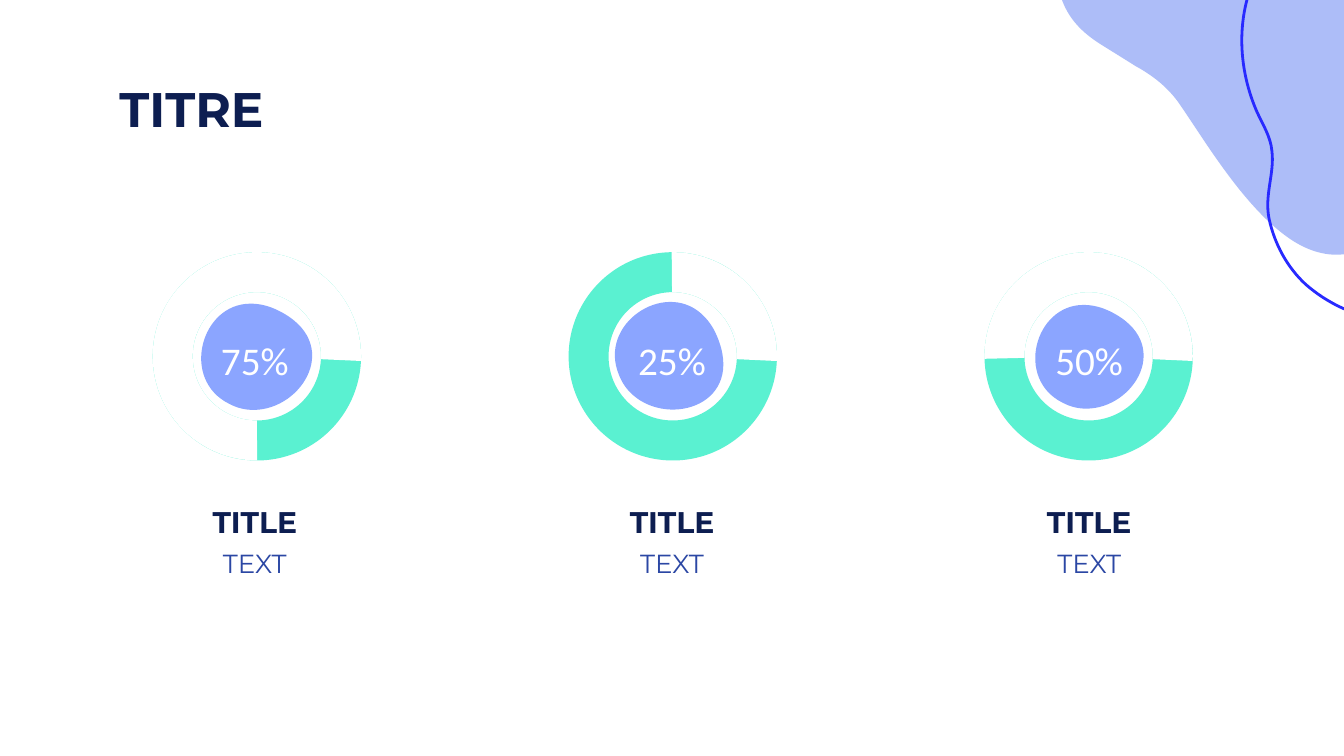
from math import cos, radians, sin

from pptx import Presentation
from pptx.dml.color import RGBColor
from pptx.enum.shapes import MSO_SHAPE as Shape
from pptx.enum.text import MSO_ANCHOR as Anchor, PP_ALIGN as Align
from pptx.oxml.ns import qn
from pptx.util import Pt

NAVY = RGBColor(0x0D, 0x1E, 0x51)
BLUE = RGBColor(0x2B, 0x47, 0xA4)
INK = RGBColor(0x28, 0x2A, 0xFF)
LAVENDER = RGBColor(0xAD, 0xBD, 0xF8)
PERIWINKLE = RGBColor(0x8B, 0xA5, 0xFF)
MINT = RGBColor(0x5A, 0xF1, 0xD1)
WHITE = RGBColor(0xFF, 0xFF, 0xFF)

RING_LEFT, RING_PITCH = 81.8, 222.8
RING_TOP, RING_SIZE, RING_THICKNESS = 135.1, 111.6, 0.192
ARC_END = 1.54
TEXT_PITCH = 223.5

# Closed outlines: a start point, then Bezier triples; the last one returns to the start.
CORNER_BLOB = [
    (693.4, 128.9), (712.8, 141.1), (735.1, 140.4), (758.2, 109.4), (811.4, 37.4),
    (754.6, -42.5), (725, -66.2), (720.7, -69.1), (717.1, -72), (712.8, -74.2),
    (653.8, -110.9), (576, -95.8), (567.4, -35.3), (562.3, 0.7), (575.3, 14.4),
    (591.8, 24.5), (597.6, 28.1), (603.4, 31.7), (609.1, 35.3), (617, 39.6),
    (625, 45.4), (631.4, 54), (645.1, 73.4), (667.4, 112.3),
]
CORNER_WAVE = [
    (720, 164.9), (749.5, 177.8), (788.4, 172.1), (799.2, 136.8), (802.8, 127.4),
    (812.9, 123.1), (821.5, 126.7), (853.9, 139.7), (891.4, 126.7), (910.8, 98.6),
    (923.8, 79.9), (926.6, 55.4), (918, 35.3), (912.2, 19.4), (900, 7.9),
    (887, -2.9), (869, -17.3), (848.9, -28.8), (828, -38.2), (818.6, -41.8),
    (809.3, -45.4), (799.2, -49), (769.7, -58.3), (736.6, -62.6), (708.5, -49),
    (693.4, -41.8), (681.8, -28.8), (673.9, -14.4), (672.5, -10.1), (670.3, -6.5),
    (668.9, -2.2), (663.1, 18), (665.3, 40.3), (673.9, 59.8), (676.8, 66.2),
    (681.1, 72.7), (681.8, 80.6), (683.3, 92.9), (677.5, 104.4), (680.4, 117.4),
    (683.3, 130.3), (689.8, 142.6), (699.8, 151.9), (705.6, 157), (712.1, 161.3),
]
LARGE_DOT = [
    (571, 31.7), (568.1, 33.1), (564.5, 31.7), (563, 28.8), (561.6, 25.2), (563, 21.6),
    (565.9, 20.2), (569.5, 18.7), (573.1, 20.2), (574.6, 23.8), (576, 26.6), (574.6, 30.2),
]
SMALL_DOT = [
    (640.1, 82.1), (637.9, 85.7), (633.6, 85), (632.2, 81.4), (632.2, 79.9), (632.2, 78.5),
    (632.9, 77.8), (634.3, 75.6), (636.5, 74.9), (638.6, 76.3), (640.8, 77.8), (641.5, 80.6),
]
PEBBLE_WIDTH = 194.4
PEBBLE = [
    (83.5, 0), (24.5, 0), (0, 90), (58.3, 118.8), (67.7, 123.8), (77, 126),
    (87.1, 126), (145.4, 126), (194.4, 46.1), (115.9, 7.9), (104.4, 2.2), (93.6, 0),
]

# Left, top, width and tilt of each pebble
HALOS = [(481.7, 134.6, 194.4, 127.3), (49, 128.2, 194.4, 0), (259.2, 119.5, 194.4, 247.8)]
CORES = [(543.6, 163.4, 85.7, 0), (317.5, 164.9, 87.8, 41.2), (96.5, 162.7, 87.8, 0)]

# Value and start of the white arc
GAUGES = [("75%", 53.932), ("25%", 161.649), ("50%", 107.173)]


def paint(shape, fill=None, line=None):
    shape.shadow.inherit = False
    if fill is None:
        shape.fill.background()
    else:
        shape.fill.solid()
        shape.fill.fore_color.rgb = fill
    if line is None:
        shape.line.fill.background()
    else:
        shape.line.color.rgb = line
        shape.line.width = Pt(1.5)


def untilt(outline, centre, tilt):
    """Turn an outline back by its tilt, so that the shape's rotation can carry it."""
    cx, cy = centre
    c, s = cos(radians(tilt)), sin(radians(tilt))
    return [(cx + (x - cx) * c + (y - cy) * s, cy - (x - cx) * s + (y - cy) * c)
            for x, y in outline]


def add_outline(slide, outline, tilt=0, fill=None, line=None):
    """Draw a closed outline whose points are Bezier triples."""
    start, *others = [(Pt(x), Pt(y)) for x, y in outline]
    builder = slide.shapes.build_freeform(*start)
    builder.add_line_segments(others + [start], close=True)
    shape = builder.convert_to_shape()
    segments = shape._element.xpath(".//a:lnTo")
    for first, second, third in zip(segments[::3], segments[1::3], segments[2::3]):
        first.tag = qn("a:cubicBezTo")
        for segment in (second, third):
            first.append(segment[0])
            segment.getparent().remove(segment)
    shape.rotation = tilt
    paint(shape, fill, line)


def add_pebble(slide, left, top, width, tilt, fill=None, line=None):
    scale = width / PEBBLE_WIDTH
    outline = [(left + x * scale, top + y * scale) for x, y in PEBBLE]
    add_outline(slide, outline, tilt, fill, line)


def add_ring_part(slide, preset, left, fill, adjustments):
    part = slide.shapes.add_shape(
        preset, Pt(left), Pt(RING_TOP), Pt(RING_SIZE), Pt(RING_SIZE))
    for index, value in enumerate(adjustments):
        part.adjustments[index] = value
    paint(part, fill)


def add_text(slide, text, box, size, color, font="Montserrat", bold=False,
             align=Align.CENTER, anchor=Anchor.MIDDLE):
    frame = slide.shapes.add_textbox(*map(Pt, box)).text_frame
    frame.word_wrap = True
    frame.vertical_anchor = anchor
    frame.margin_left = frame.margin_right = Pt(7.2)
    frame.margin_top = frame.margin_bottom = Pt(7.2)
    frame.text = text
    paragraph = frame.paragraphs[0]
    paragraph.alignment = align
    style = paragraph.runs[0].font
    style.name, style.size, style.bold = font, Pt(size), bold
    style.color.rgb = color


def add_gauge(slide, column, value, arc_start):
    ring_left = RING_LEFT + column * RING_PITCH
    text_shift = column * TEXT_PITCH
    add_ring_part(slide, Shape.DONUT, ring_left, MINT, [RING_THICKNESS])
    add_ring_part(slide, Shape.BLOCK_ARC, ring_left, WHITE,
                  [arc_start, ARC_END, RING_THICKNESS])
    add_text(slide, value, (96.2 + text_shift, 177.8, 80.6, 30.2), 21, WHITE, font="Calibri")
    add_text(slide, "TITLE", (61.6 + text_shift, 265.7, 149.8, 27.4), 16, NAVY, bold=True)
    add_text(slide, "TEXT", (61.6 + text_shift, 286.2, 149.8, 48.2), 14, BLUE,
             anchor=Anchor.TOP)


def main():
    deck = Presentation()
    deck.slide_width, deck.slide_height = Pt(720), Pt(405)
    slide = deck.slides.add_slide(deck.slide_layouts[6])
    add_outline(slide, untilt(CORNER_BLOB, (670.7, 7.2), 211.9), 211.9, fill=LAVENDER)
    add_outline(slide, untilt(CORNER_WAVE, (783.4, 67.7), 203.5), 203.5, line=INK)
    for dot in (LARGE_DOT, SMALL_DOT):
        add_outline(slide, dot, fill=WHITE)
    for halo in HALOS:
        add_pebble(slide, *halo, line=WHITE)
    for core in CORES:
        add_pebble(slide, *core, fill=PERIWINKLE)
    add_text(slide, "TITRE", (56.9, 35.3, 513.4, 45.4), 26, NAVY, bold=True,
             align=Align.LEFT, anchor=Anchor.TOP)
    for column, gauge in enumerate(GAUGES):
        add_gauge(slide, column, *gauge)
    deck.save("out.pptx")


if __name__ == "__main__":
    main()
